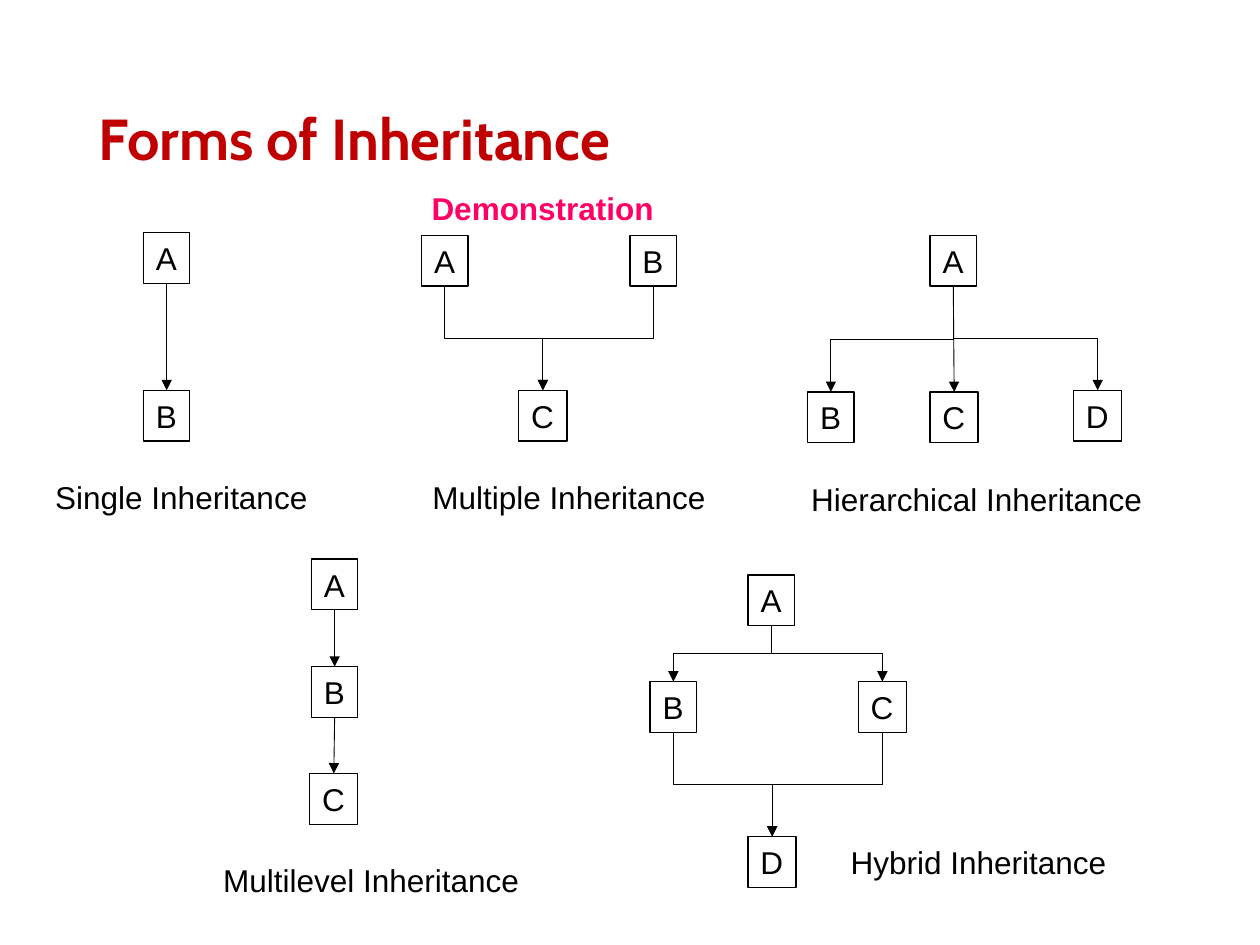
from lxml import etree
from pptx import Presentation
from pptx.dml.color import RGBColor
from pptx.enum.shapes import MSO_CONNECTOR, MSO_SHAPE
from pptx.enum.text import MSO_ANCHOR, PP_ALIGN
from pptx.oxml.ns import qn
from pptx.util import Pt

RECTANGLE = MSO_SHAPE.RECTANGLE
STRAIGHT, ELBOW = MSO_CONNECTOR.STRAIGHT, MSO_CONNECTOR.ELBOW
MIDDLE, LEFT = MSO_ANCHOR.MIDDLE, PP_ALIGN.LEFT

COLORS = {"title": "C00000", "accent": "FF0066", "ink": "000000"}
NODE_HEIGHT = 29
NODE_WIDTHS = {"A": 26.5, "B": 26.5, "C": 27.5, "D": 27.5}

# Each form: caption with left, top, width; nodes with left, top; links parent-child
FORMS = [
    (("Single Inheritance", 24.5, 269.5, 160),
     {"A": (82, 133), "B": (82, 223)}, ["AB"]),
    (("Multiple Inheritance", 240, 269.5, 172),
     {"A": (241, 134.5), "B": (360, 134.5), "C": (296.5, 223)}, ["BC", "AC"]),
    (("Hierarchical Inheritance", 456.5, 270.5, 205),
     {"A": (531.5, 134.5), "B": (461.5, 224), "C": (531.5, 224), "D": (613.5, 223)},
     ["AD", "AB", "AC"]),
    (("Multilevel Inheritance", 120.5, 488.5, 185),
     {"A": (178, 319.5), "B": (178, 381), "C": (177, 442)}, ["AB", "BC"]),
    (("Hybrid Inheritance", 479, 478, 162),
     {"A": (427.5, 328.5), "B": (371.5, 389.5), "C": (490.5, 389.5), "D": (427.5, 478)},
     ["CD", "BD", "AB", "AC"]),
]


def write(shape, text, color="ink", size=18, font="Arial", bold=False, wrap=False):
    frame = shape.text_frame
    frame.word_wrap = wrap
    frame.vertical_anchor = MIDDLE
    para = frame.paragraphs[0]
    para.text = text
    para.alignment = LEFT
    para.font.name = font
    para.font.size = Pt(size)
    para.font.bold = bold
    para.font.color.rgb = RGBColor.from_string(COLORS[color])
    return para


def link(page, start, end):
    """Draw an arrow downwards, with an elbow if the ends are not in line."""
    (x1, y1), (x2, y2) = start, end
    if abs(x2 - x1) < 2:
        line = page.shapes.add_connector(STRAIGHT, Pt(x1), Pt(y1), Pt(x2), Pt(y2))
    else:
        # A vertical elbow is a horizontal one turned about its centre
        middle_x, middle_y = (x1 + x2) / 2, (y1 + y2) / 2
        half_width, half_height = (y2 - y1) / 2, abs(x2 - x1) / 2
        side = 1 if x2 > x1 else -1
        line = page.shapes.add_connector(
            ELBOW,
            Pt(middle_x + side * half_width), Pt(middle_y - half_height),
            Pt(middle_x - side * half_width), Pt(middle_y + half_height))
        turn = 270 if side == 1 else 90
        line._element.spPr.find(qn("a:xfrm")).set("rot", str(turn * 60000))
    line.line.width = Pt(0.5)
    line.line.color.rgb = RGBColor.from_string(COLORS["ink"])
    etree.SubElement(line.line._get_or_add_ln(), qn("a:tailEnd"), type="triangle")
    etree.SubElement(line._element.spPr, qn("a:effectLst"))


deck = Presentation()
deck.slide_width, deck.slide_height = Pt(720), Pt(540)
page = deck.slides.add_slide(deck.slide_layouts[6])

# Title and subtitle
box = page.shapes.add_textbox(Pt(49.5), Pt(29), Pt(621), Pt(104.5))
para = write(box, "Forms of Inheritance", "title", 33, "Cabin", bold=True, wrap=True)
para.line_spacing = 0.9
box = page.shapes.add_textbox(Pt(239.5), Pt(104.5), Pt(142.5), Pt(NODE_HEIGHT))
write(box, "Demonstration", "accent", bold=True)

# Inheritance diagrams
for (caption, left, top, width), nodes, links in FORMS:
    for name, (x, y) in nodes.items():
        node = page.shapes.add_shape(
            RECTANGLE, Pt(x), Pt(y), Pt(NODE_WIDTHS[name]), Pt(NODE_HEIGHT))
        node.shadow.inherit = False
        node.fill.background()
        node.line.width = Pt(0.75)
        node.line.color.rgb = RGBColor.from_string(COLORS["ink"])
        write(node, name)
    for parent, child in links:
        (x1, y1), (x2, y2) = nodes[parent], nodes[child]
        link(page, (x1 + NODE_WIDTHS[parent] / 2, y1 + NODE_HEIGHT),
             (x2 + NODE_WIDTHS[child] / 2, y2))
    box = page.shapes.add_textbox(Pt(left), Pt(top), Pt(width), Pt(NODE_HEIGHT))
    write(box, caption)

deck.save("out.pptx")
